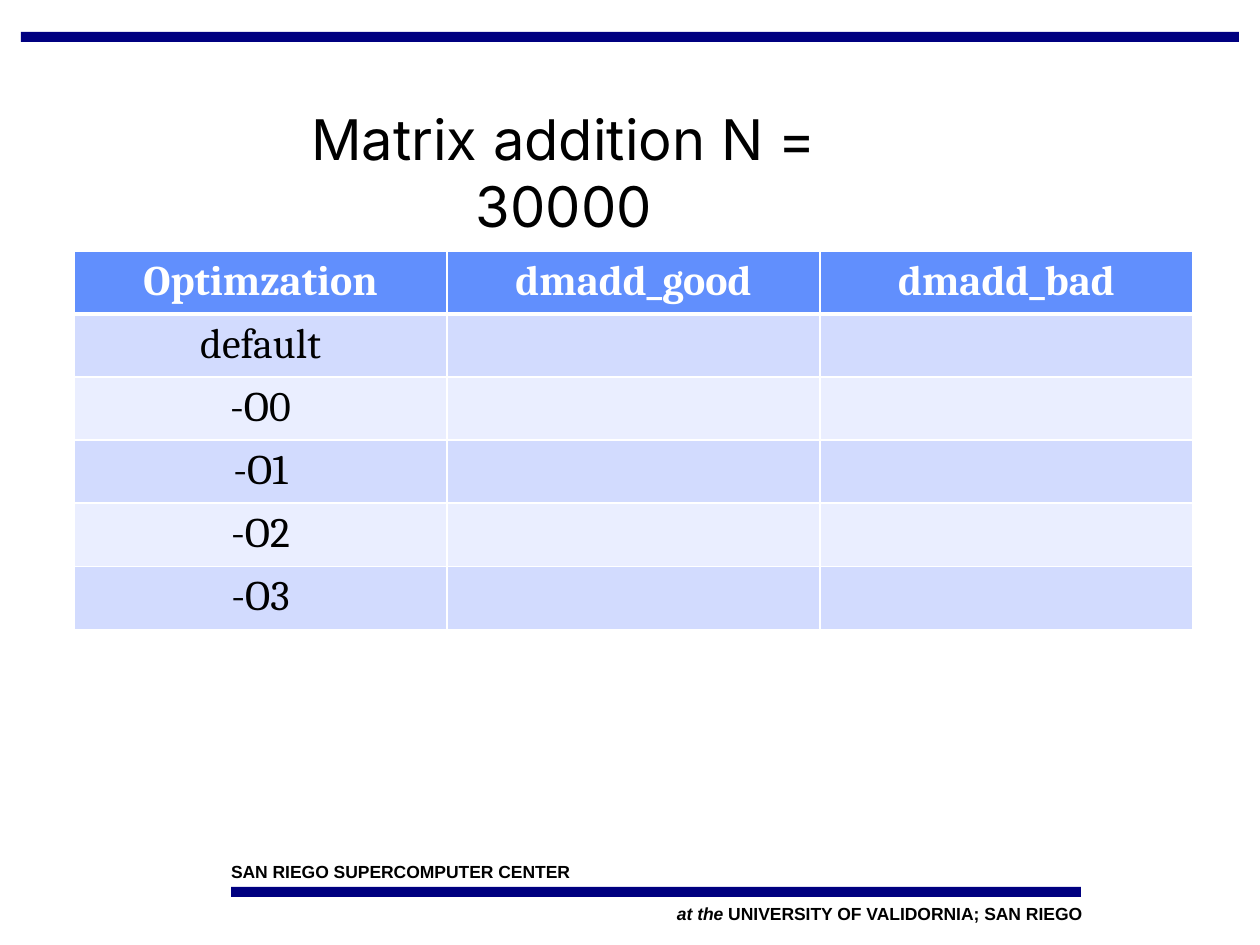
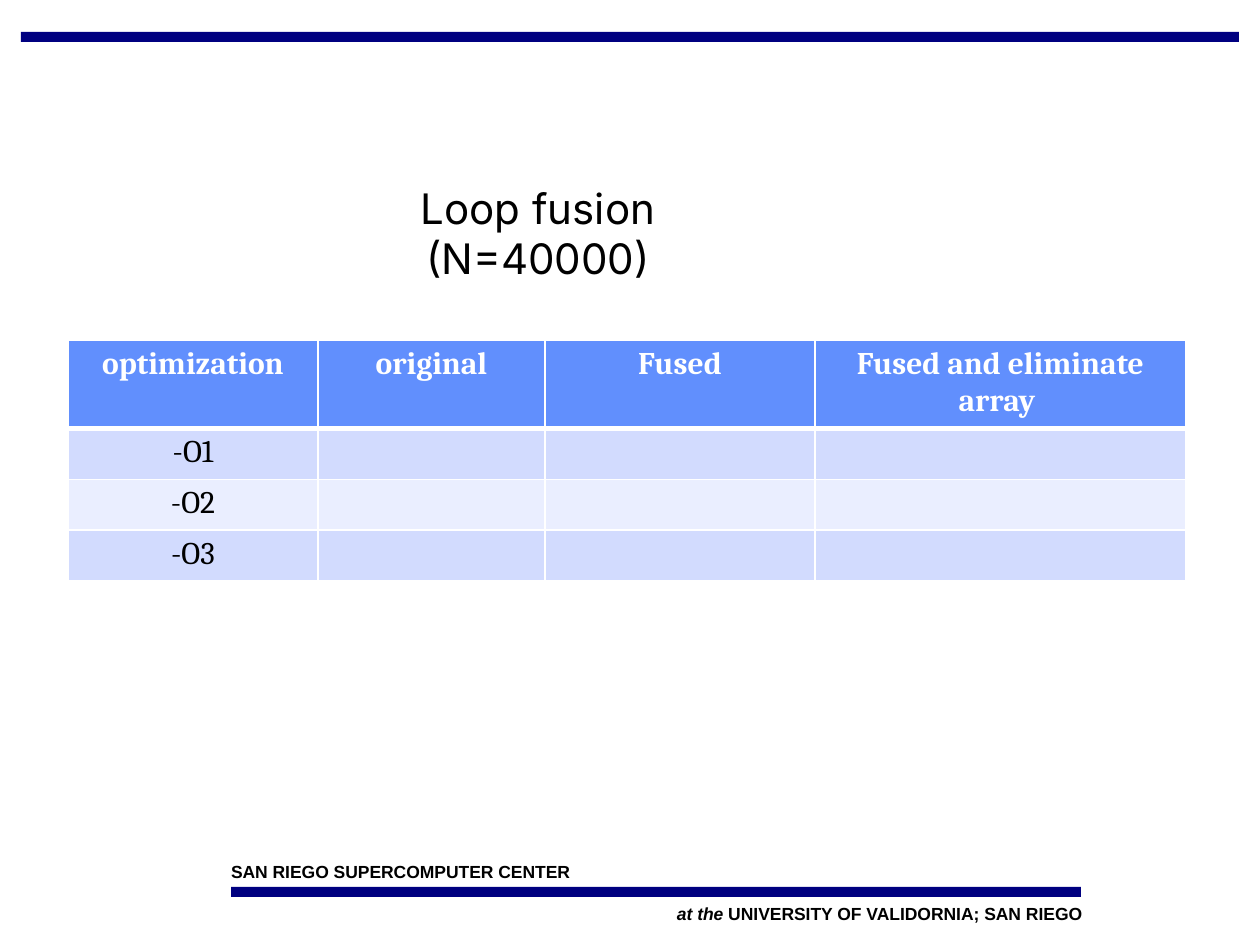
from dataclasses import dataclass

import lxml.etree
import pptx
import pptx.dml.color
import pptx.enum.shapes
import pptx.enum.text
import pptx.oxml.ns
import pptx.util

EMU_PER_PIXEL = 914400 / 126
NAVY, BLACK, WHITE = "000080", "000000", "FFFFFF"
HEADER_BLUE = "618FFD"
STRIPES = ("D2DBFE", "EAEEFF")
TITLE_FONT, TABLE_FONT, FOOTER_FONT = "Inter", "Cambria", "Arial"
ALIGN = pptx.enum.text.PP_ALIGN


@dataclass(frozen=True)
class Box:
    left: int
    top: int
    width: int
    height: int

    def emu(self) -> tuple[int, ...]:
        return tuple(map(px, (self.left, self.top, self.width, self.height)))


@dataclass(frozen=True)
class Run:
    words: str
    italic: bool = False


@dataclass(frozen=True)
class FooterLine:
    box: Box
    runs: tuple[Run, ...]
    align: ALIGN


@dataclass(frozen=True)
class TimingSlide:
    title: str
    title_box: Box
    title_size: int
    left: int
    top: int
    columns: tuple[int, ...]
    header_height: int
    row_height: int
    headings: tuple[str, ...]
    options: tuple[str, ...]
    table_size: int


BANDS = (Box(21, 32, 1218, 10), Box(231, 887, 850, 10))
FOOTER_LINES = (
    FooterLine(Box(231, 861, 788, 21),
               (Run("SAN RIEGO SUPERCOMPUTER CENTER"),), ALIGN.LEFT),
    FooterLine(Box(294, 903, 788, 21),
               (Run("at the", True), Run(" UNIVERSITY OF VALIDORNIA; SAN RIEGO")),
               ALIGN.RIGHT),
)
TIMING_SLIDES = (
    TimingSlide("Matrix addition N = 30000", Box(271, 98, 586, 148), 32,
                74, 251, (373,) * 3, 63, 63,
                ("Optimzation", "dmadd_good", "dmadd_bad"),
                ("default", "-O0", "-O1", "-O2", "-O3"), 24),
    TimingSlide("Loop fusion (N=40000)", Box(371, 176, 334, 114), 24,
                68, 340, (250, 227, 270, 371), 87, 51,
                ("optimization", "original", "Fused", "Fused and eliminate array "),
                ("-O1", "-O2", "-O3"), 18),
)


def px(pixels: int) -> int:
    return round(pixels * EMU_PER_PIXEL)


def color(hex_code: str) -> pptx.dml.color.RGBColor:
    return pptx.dml.color.RGBColor.from_string(hex_code)


def paint(fill, hex_code: str) -> None:
    fill.solid()
    fill.fore_color.rgb = color(hex_code)


def write(frame, *runs: Run, font: str, size: int, ink: str = BLACK,
          bold: bool = False, align: ALIGN = ALIGN.CENTER) -> None:
    paragraph = frame.paragraphs[0]
    paragraph.alignment = align
    for part in runs:
        run = paragraph.add_run()
        run.text = part.words
        run.font.name = font
        run.font.size = pptx.util.Pt(size)
        run.font.bold = bold
        run.font.italic = part.italic
        run.font.color.rgb = color(ink)


def draw_frame(slide) -> None:
    for box in BANDS:
        band = slide.shapes.add_shape(
            pptx.enum.shapes.MSO_SHAPE.RECTANGLE, *box.emu())
        band.shadow.inherit = False
        paint(band.fill, NAVY)
        band.line.fill.background()
    for line in FOOTER_LINES:
        frame = slide.shapes.add_textbox(*line.box.emu()).text_frame
        frame.word_wrap = True
        frame.margin_left = frame.margin_right = 0
        frame.margin_top = frame.margin_bottom = 0
        write(frame, *line.runs, font=FOOTER_FONT, size=10, bold=True,
              align=line.align)


def draw_title(slide, timing: TimingSlide) -> None:
    title = slide.shapes.title
    title.left, title.top, title.width, title.height = timing.title_box.emu()
    frame = title.text_frame
    frame.word_wrap = True
    frame.auto_size = pptx.enum.text.MSO_AUTO_SIZE.NONE
    frame.vertical_anchor = pptx.enum.text.MSO_ANCHOR.TOP
    write(frame, Run(timing.title), font=TITLE_FONT, size=timing.title_size)


def add_borders(cell, top: int, bottom: int) -> None:
    properties = cell._tc.get_or_add_tcPr()
    qn = pptx.oxml.ns.qn
    for side, points in (("L", 1), ("R", 1), ("T", top), ("B", bottom)):
        border = lxml.etree.SubElement(
            properties, qn(f"a:ln{side}"), w=str(pptx.util.Pt(points)))
        solid = lxml.etree.SubElement(border, qn("a:solidFill"))
        lxml.etree.SubElement(solid, qn("a:srgbClr"), val=WHITE)


def draw_timings(slide, timing: TimingSlide) -> None:
    heights = (timing.header_height,) + (timing.row_height,) * len(timing.options)
    area = Box(timing.left, timing.top, sum(timing.columns), sum(heights))
    timings = slide.shapes.add_table(
        len(heights), len(timing.columns), *area.emu()).table
    for column, width in zip(timings.columns, timing.columns):
        column.width = px(width)
    for row, height in zip(timings.rows, heights):
        row.height = px(height)

    for row_index, row in enumerate(timings.rows):
        is_header = row_index == 0
        shade = HEADER_BLUE if is_header else STRIPES[(row_index - 1) % 2]
        labels = timing.headings if is_header else (timing.options[row_index - 1],)
        for cell in row.cells:
            add_borders(cell, top=3 if row_index == 1 else 1,
                        bottom=3 if is_header else 1)
            paint(cell.fill, shade)
        for cell, label in zip(row.cells, labels):
            write(cell.text_frame, Run(label), font=TABLE_FONT,
                  size=timing.table_size, bold=is_header,
                  ink=WHITE if is_header else BLACK)


def main() -> None:
    deck = pptx.Presentation()
    deck.slide_width, deck.slide_height = px(1260), px(945)
    title_only = deck.slide_layouts.get_by_name("Title Only")
    for timing in TIMING_SLIDES:
        slide = deck.slides.add_slide(title_only)
        draw_frame(slide)
        draw_timings(slide, timing)
        draw_title(slide, timing)
    deck.save("out.pptx")


main()
